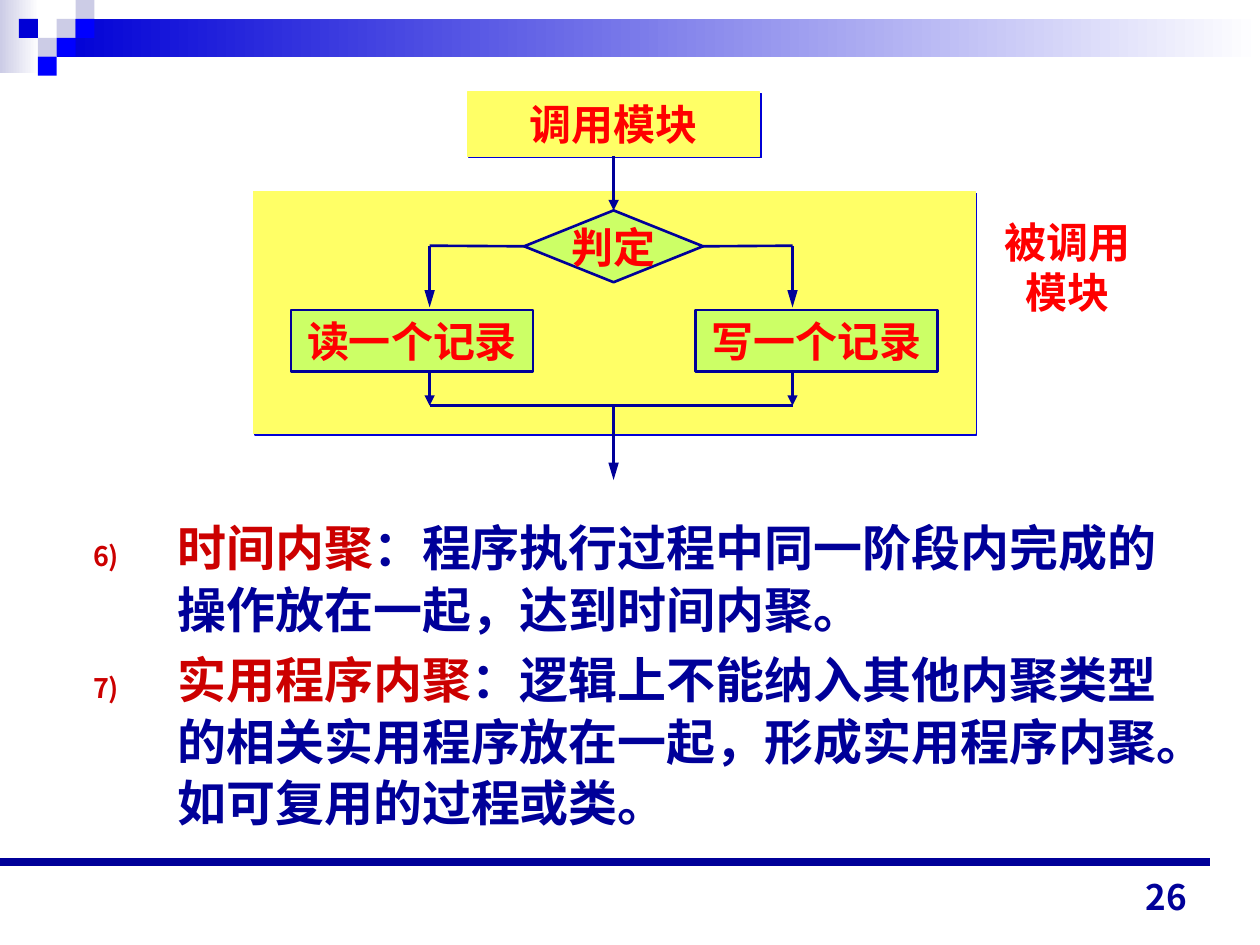
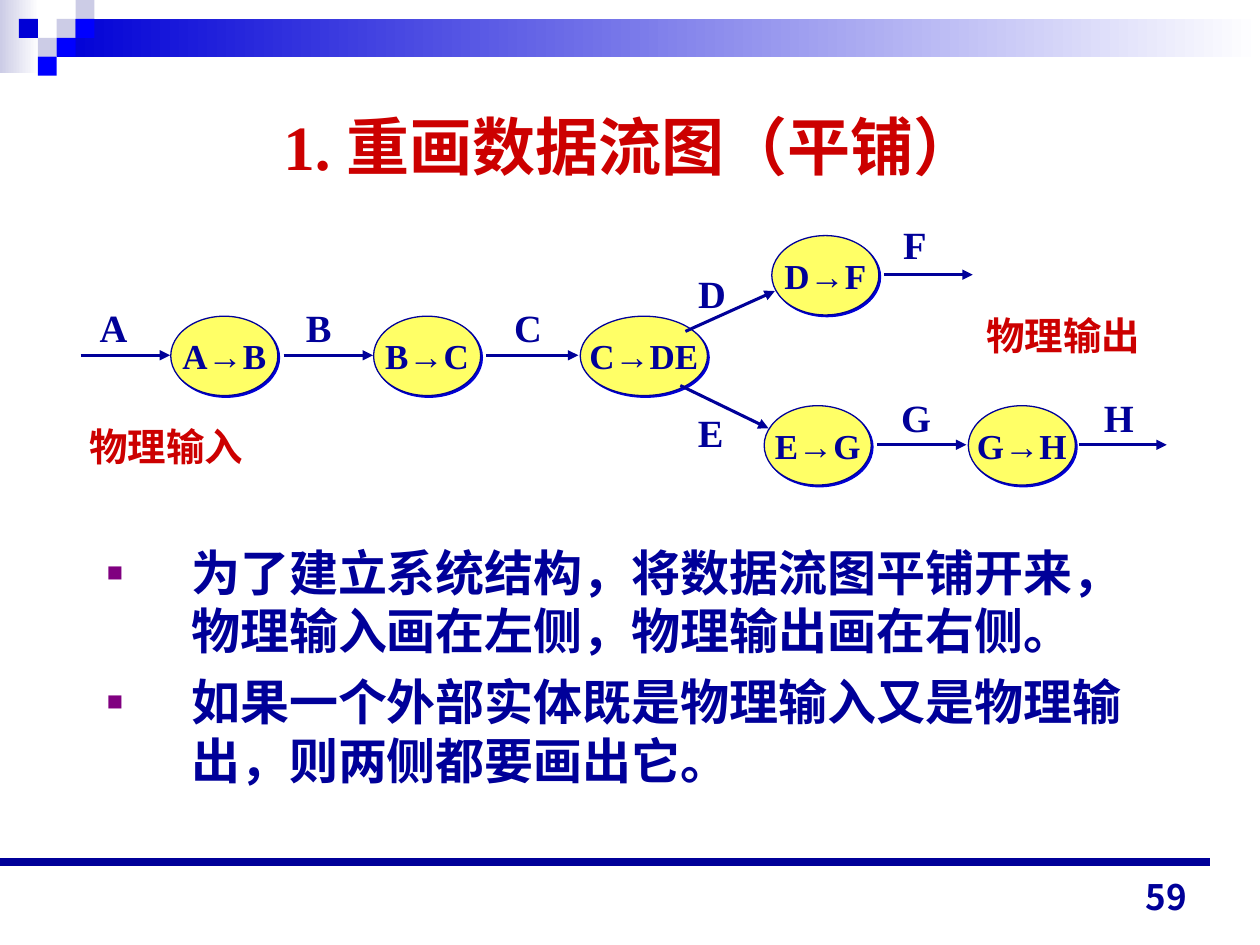
from dataclasses import dataclass

from lxml import etree
from pptx import Presentation
from pptx.dml.color import RGBColor
from pptx.enum.shapes import MSO_CONNECTOR, MSO_SHAPE
from pptx.enum.text import MSO_ANCHOR, PP_ALIGN
from pptx.oxml.ns import qn
from pptx.util import Inches, Pt


@dataclass(frozen=True)
class Theme:
    navy: str = "000099"
    deep_blue: str = "0000D6"
    blue: str = "0000FF"
    lavender: str = "CCCCE6"
    white: str = "FFFFFF"
    yellow: str = "FFFF66"
    lime: str = "CCFF66"
    red: str = "FF0000"
    dark_red: str = "CC0000"
    purple: str = "800080"
    serif: str = "Times New Roman"
    sans: str = "Arial"
    cjk: str = "Noto Sans CJK JP"
    title: int = 36
    body: int = 28
    step: int = 24
    label: int = 22
    small: int = 20


THEME = Theme()


def rgb(color):
    return RGBColor.from_string(color)


def add_xml(parent, tag, **attributes):
    child = etree.SubElement(parent, qn(tag))
    for key, value in attributes.items():
        child.set(key, str(value))
    return child


def write(shape, *lines, size, color=THEME.navy, font=THEME.serif, align=PP_ALIGN.CENTER,
          anchor=MSO_ANCHOR.MIDDLE, wrap=False, inset=(0, 0), spacing=None, before=0,
          bullet=None):
    """Fill a shape with lines; a line is a string or a list of (text, format) runs."""
    frame = shape.text_frame
    frame.word_wrap = wrap
    frame.vertical_anchor = anchor
    frame.margin_left = frame.margin_right = Inches(inset[0])
    frame.margin_top = frame.margin_bottom = Inches(inset[1])
    for index, line in enumerate(lines):
        paragraph = frame.add_paragraph() if index else frame.paragraphs[0]
        paragraph.alignment = align
        if spacing:
            paragraph.line_spacing = Pt(spacing)
        if index and before:
            paragraph.space_before = Pt(before)
        if bullet:
            add_bullet(paragraph, **bullet)
        for text, changes in [(line, {})] if isinstance(line, str) else line:
            run = paragraph.add_run()
            run.text = text
            run.font.size = Pt(size)
            run.font.bold = True
            run.font.color.rgb = rgb(changes.get("color", color))
            run.font.name = changes.get("font", font)
            add_xml(run.font._element, "a:ea", typeface=THEME.cjk)


def add_bullet(paragraph, color, font, tag, **attributes):
    properties = paragraph._p.get_or_add_pPr()
    properties.set("marL", str(Inches(0.67)))
    properties.set("indent", str(-Inches(0.67)))
    add_xml(add_xml(properties, "a:buClr"), "a:srgbClr", val=color)
    add_xml(properties, "a:buSzPct", val=55000)
    add_xml(properties, "a:buFont", typeface=font)
    add_xml(properties, tag, **attributes)


def add_text(slide, box, *lines, **text_format):
    write(slide.shapes.add_textbox(*map(Inches, box)), *lines, **text_format)


def add_centered_text(slide, x, y, *lines, width=1.5, height=0.47, **text_format):
    add_text(slide, (x - width / 2, y - height / 2, width, height), *lines, **text_format)


def add_block(slide, kind, box, fill, line=None, weight=0.75, shadow=False):
    block = slide.shapes.add_shape(kind, *map(Inches, box))
    if isinstance(fill, tuple):
        block.fill.gradient()
        block.fill.gradient_angle = 180
        for stop, color in zip(block.fill.gradient_stops, fill):
            stop.color.rgb = rgb(color)
    else:
        block.fill.solid()
        block.fill.fore_color.rgb = rgb(fill)
    if line:
        block.line.color.rgb = rgb(line)
        block.line.width = Pt(weight)
    else:
        block.line.fill.background()
    block.shadow.inherit = False
    if shadow:
        effects = block._element.spPr.find(qn("a:effectLst"))
        outer = add_xml(effects, "a:outerShdw", dist=Pt(1.4), dir=45 * 60000,
                        algn="ctr", rotWithShape=0)
        add_xml(outer, "a:srgbClr", val=THEME.deep_blue)
    return block


def add_line(slide, start, end, weight, head=None):
    """Draw a straight line; head is the length of its arrowhead, if it has one."""
    line = slide.shapes.add_connector(MSO_CONNECTOR.STRAIGHT, *map(Inches, (*start, *end)))
    line.line.color.rgb = rgb(THEME.navy)
    line.line.width = Pt(weight)
    if head:
        add_xml(line.line._get_or_add_ln(), "a:tailEnd", type="triangle", w="med", len=head)
    add_xml(line._element.spPr, "a:effectLst")
    return line


def add_header(slide):
    add_block(slide, MSO_SHAPE.RECTANGLE, (0, 0, 0.31, 0.58), (THEME.white, THEME.lavender))
    add_block(slide, MSO_SHAPE.RECTANGLE, (0.45, 0.15, 9.55, 0.3),
              (THEME.white, THEME.deep_blue))
    tile = 0.15
    mosaic = [(3, 1, THEME.lavender), (4, 0, THEME.lavender), (4, 1, THEME.blue),
              (2, 2, THEME.lavender), (1, 1, THEME.deep_blue), (3, 2, THEME.blue),
              (2, 3, THEME.blue)]
    for column, row, color in mosaic:
        add_block(slide, MSO_SHAPE.RECTANGLE, (column * tile, row * tile, tile, tile), color)


def add_footer(slide, number):
    add_line(slide, (0, 6.84), (9.6, 6.84), 4.5)
    add_text(slide, (7.19, 6.83, 2.33, 0.5), number, size=THEME.small, font=THEME.cjk,
             align=PP_ALIGN.RIGHT, anchor=MSO_ANCHOR.BOTTOM, inset=(0.1, 0.05), wrap=True)


def add_body(slide, box, *lines, **text_format):
    add_text(slide, box, *lines, size=THEME.body, align=PP_ALIGN.LEFT,
             anchor=MSO_ANCHOR.TOP, wrap=True, inset=(0.1, 0.05), **text_format)


def add_call_flowchart(slide, left, top):
    axis, decision_y, join_y = 2.87, 1.25, 2.52
    read_x, write_x = 1.41, 4.29
    step_format = dict(size=THEME.step, color=THEME.red)

    def at(x, y):
        return left + x, top + y

    def block(kind, x, y, width, height, fill, text="", **style):
        shape = add_block(slide, kind, (*at(x, y), width, height), fill, **style)
        if text:
            write(shape, text, **step_format)
        return shape

    def line(start, end, head=None):
        return add_line(slide, at(*start), at(*end), 1.5, head)

    raised = dict(line=THEME.yellow, shadow=True)
    outlined = dict(line=THEME.navy, weight=1.5)
    caller = block(MSO_SHAPE.RECTANGLE, axis - 1.16, 0.03, 2.32, 0.51, THEME.yellow,
                   "调用模块", **raised)
    block(MSO_SHAPE.RECTANGLE, axis - 2.86, 0.82, 5.73, 1.92, THEME.yellow, **raised)
    decision = block(MSO_SHAPE.DIAMOND, axis - 0.71, decision_y - 0.28, 1.42, 0.57,
                     THEME.lime, "判定", **outlined)
    entry = line((axis, 0.54), (axis, 0.97), "med")
    entry.begin_connect(caller, 2)
    entry.end_connect(decision, 0)

    branches = [(read_x, 0.31, "读一个记录", 1), (write_x, 3.52, "写一个记录", 3)]
    for x, step_left, text, side in branches:
        block(MSO_SHAPE.RECTANGLE, step_left, 1.76, 1.92, 0.49, THEME.lime, text, **outlined)
        line((axis, decision_y), (x, decision_y)).begin_connect(decision, side)
        line((x, decision_y), (x, 1.74), "lg")
        line((x, 2.25), (x, join_y), "med")
    line((read_x, join_y), (write_x, join_y))
    line((axis, join_y), (axis, 3.11), "lg")
    add_centered_text(slide, *at(6.47, 1.42), "被调用", "模块", height=0.9, spacing=28.6,
                      **step_format)


def add_data_flow(slide, left, top):
    upper, main, lower = 0.48, 1.12, 1.83

    def at(x, y):
        return left + x, top + y

    processes = [("A", "B", 1.18, main, 0.85), ("B", "C", 2.79, main, 0.85),
                 ("C", "DE", 4.51, main, 1.01), ("D", "F", 5.95, upper, 0.85),
                 ("E", "G", 5.89, lower, 0.85), ("G", "H", 7.51, lower, 0.85)]
    for source, result, x, y, width in processes:
        bubble = add_block(slide, MSO_SHAPE.OVAL, (*at(x - width / 2, y - 0.31), width, 0.63),
                           THEME.yellow, line=THEME.navy, shadow=True)
        write(bubble, [(source, {}), ("→", {"font": THEME.sans}), (result, {})],
              size=THEME.small)

    flows = [("A", (0.3, 0.9), (0.04, main), (0.75, main)),
             ("B", (1.93, 0.9), (1.65, main), (2.36, main)),
             ("C", (3.59, 0.9), (3.26, main), (3.99, main)),
             ("D", (5.05, 0.63), (4.84, 0.93), (5.55, 0.61)),
             ("E", (5.04, 1.73), (4.8, 1.36), (5.5, 1.7)),
             ("F", (6.66, 0.24), (6.42, upper), (7.12, upper)),
             ("G", (6.67, 1.61), (6.36, lower), (7.07, lower)),
             ("H", (8.28, 1.61), (7.96, lower), (8.66, lower))]
    for name, label, start, end in flows:
        add_line(slide, at(*start), at(*end), 1.75, "med")
        add_centered_text(slide, *at(*label), name, width=0.42, size=THEME.label)

    for name, x, y in [("物理输入", 0.72, 1.84), ("物理输出", 7.84, 0.96)]:
        add_centered_text(slide, *at(x, y), name, size=THEME.label, color=THEME.dark_red)


def build_cohesion_slide(slide):
    add_body(
        slide, (0.64, 4.04, 8.8, 2.8),
        [("时间内聚", {"color": THEME.dark_red}),
         ("：程序执行过程中同一阶段内完成的操作放在一起，达到时间内聚。", {})],
        [("实用程序内聚", {"color": THEME.dark_red}),
         ("：逻辑上不能纳入其他内聚类型的相关实用程序放在一起，形成实用程序内聚。"
          "如可复用的过程或类。", {})],
        spacing=35.1, before=5.2,
        bullet=dict(color=THEME.dark_red, font=THEME.cjk, tag="a:buAutoNum",
                    type="arabicParenR", startAt=6))
    add_call_flowchart(slide, 2, 0.7)


def build_data_flow_slide(slide):
    add_text(slide, (0.5, 0.5, 9, 1.3), "1. 重画数据流图（平铺）", size=THEME.title,
             color=THEME.dark_red, wrap=True, inset=(0.1, 0.05))
    add_body(
        slide, (0.75, 4.26, 8.5, 2.45),
        "为了建立系统结构，将数据流图平铺开来，物理输入画在左侧，物理输出画在右侧。",
        "如果一个外部实体既是物理输入又是物理输出，则两侧都要画出它。",
        spacing=33.4, before=7,
        bullet=dict(color=THEME.purple, font=THEME.sans, tag="a:buChar", char="■"))
    add_data_flow(slide, 0.6, 1.7)


def main():
    deck = Presentation()
    deck.slide_width, deck.slide_height = Inches(10), Inches(7.5)
    for build, number in [(build_cohesion_slide, "26"), (build_data_flow_slide, "59")]:
        slide = deck.slides.add_slide(deck.slide_layouts[6])
        add_header(slide)
        build(slide)
        add_footer(slide, number)
    deck.save("out.pptx")


if __name__ == "__main__":
    main()
